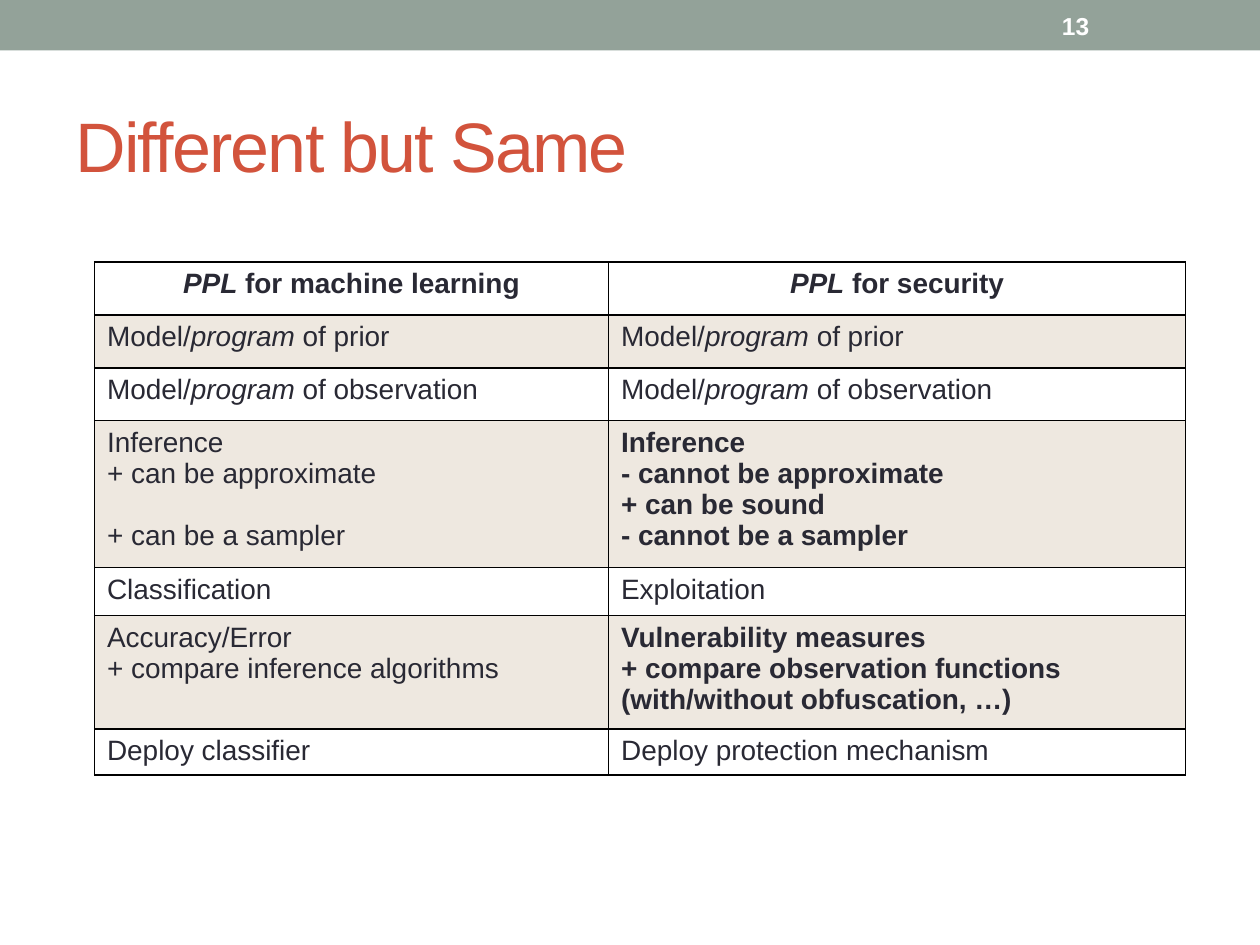
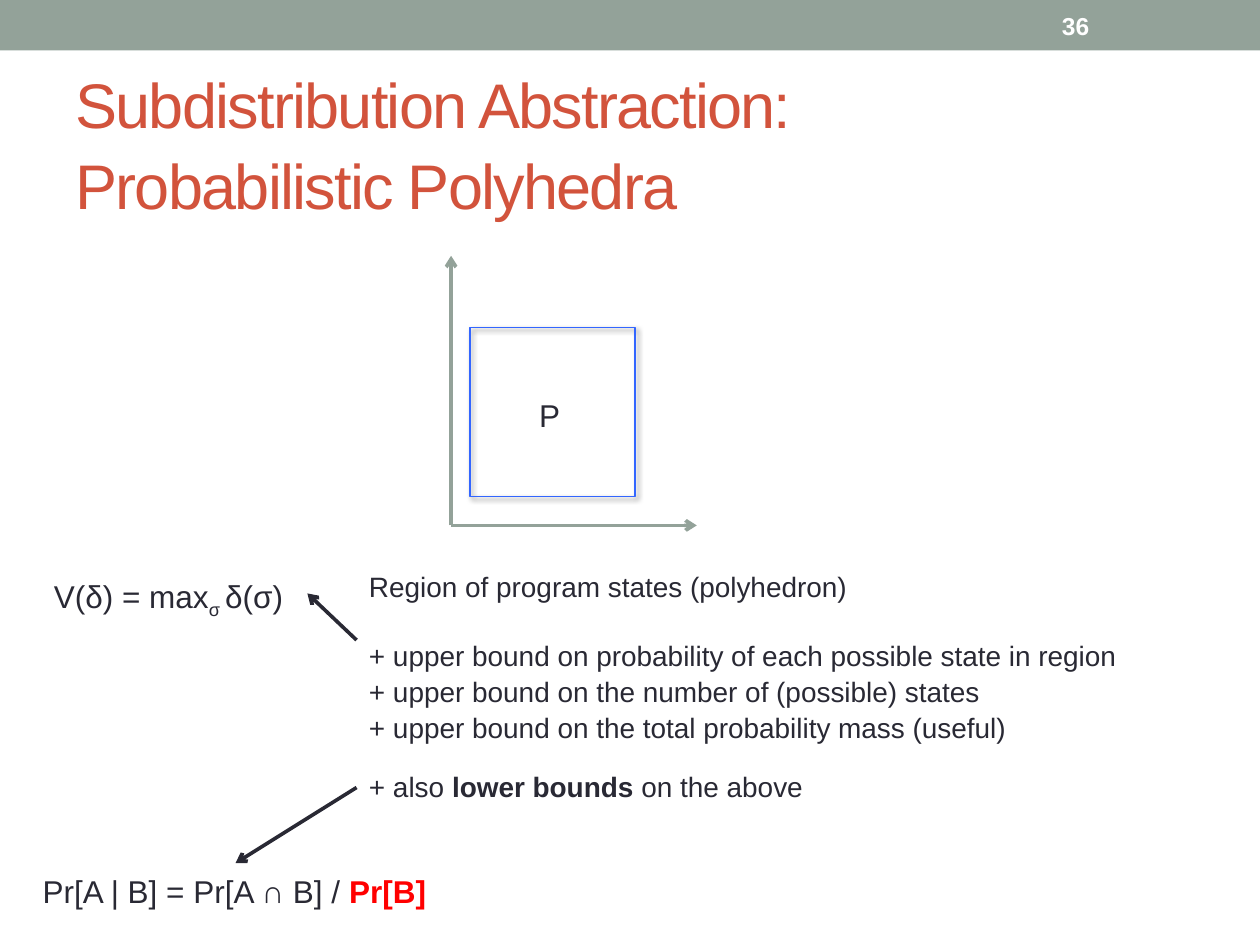
from pptx import Presentation
from pptx.dml.color import RGBColor
from pptx.enum.shapes import MSO_CONNECTOR, MSO_SHAPE
from pptx.enum.text import MSO_ANCHOR, PP_ALIGN
from pptx.oxml import parse_xml
from pptx.oxml.ns import qn
from pptx.util import Inches, Pt
from lxml import etree

RECT = MSO_SHAPE.RECTANGLE
STRAIGHT = MSO_CONNECTOR.STRAIGHT
TOP, MIDDLE = MSO_ANCHOR.TOP, MSO_ANCHOR.MIDDLE
LEFT, CENTER = PP_ALIGN.LEFT, PP_ALIGN.CENTER

FONT = "Arial"
SAGE, RUST, INK, WHITE = "93A299", "D2533C", "292934", "FFFFFF"
SAND, BLUE, RED, BLACK = "AD8F67", "3366FF", "FF0000", "000000"
NS = 'xmlns:a="http://schemas.openxmlformats.org/drawingml/2006/main"'


def rgb(value):
    """Turn a hex string into a colour."""
    return RGBColor.from_string(value)


class Deck:
    """Hold the shared style and the current slide."""

    def __init__(self):
        """Open an empty presentation."""
        self.prs = Presentation()
        self.prs.slide_width, self.prs.slide_height = Inches(10), Inches(7.5)
        self.s = None

    def slide(self, title, number, title_size):
        """Add a slide with its band, title and number."""
        self.s = self.prs.slides.add_slide(self.prs.slide_layouts[6])
        self.rect(0, 0, 10, 0.4, fill=SAGE)
        sp = self.text(0.5, 0.58, 9, 1.08, [title], title_size, RUST, anchor=MIDDLE)
        for r in sp.text_frame.paragraphs[0].runs:
            r.font._element.set("spc", "-100")
        self.text(8.33, 0.02, 1.17, 0.36, [str(number)], 14, WHITE, bold=True, anchor=MIDDLE)

    def rect(self, x, y, w, h, fill=None, line=None):
        """Add a plain rectangle."""
        sp = self.s.shapes.add_shape(RECT, Inches(x), Inches(y), Inches(w), Inches(h))
        sp.shadow.inherit = False
        if fill:
            sp.fill.solid()
            sp.fill.fore_color.rgb = rgb(fill)
        else:
            sp.fill.background()
        if line:
            sp.line.color.rgb = rgb(line)
            sp.line.width = Pt(0.75)
        else:
            sp.line.fill.background()
        return sp

    def shadow(self, sp):
        """Give a shape a soft shadow to the lower right."""
        sp._element.spPr.find(qn("a:effectLst")).append(parse_xml(
            f'<a:outerShdw {NS} blurRad="38100" dist="25400" dir="2700000">'
            f'<a:srgbClr val="{BLACK}"><a:alpha val="60000"/></a:srgbClr></a:outerShdw>'))

    def fill_text(self, tf, paragraphs, size, color=INK, bold=False, align=LEFT,
                  spacing=1.0, gaps=None):
        """Fill a frame; a paragraph is a string or a list of (text, mark) runs."""
        for i, content in enumerate(paragraphs):
            p = tf.add_paragraph() if i else tf.paragraphs[0]
            p.alignment, p.line_spacing = align, spacing
            p.space_before = Pt((gaps or {}).get(i, 0))
            p.font.name, p.font.size, p.font.bold = FONT, Pt(size), bold
            p.font.color.rgb = rgb(color)
            if isinstance(content, str):
                p.text = content
                continue
            for text, mark in content:
                r = p.add_run()
                r.text = text
                if mark == "italic":
                    r.font.italic = True
                elif mark == "sub":
                    r.font._element.set("baseline", "-25000")
                elif mark:
                    r.font.bold = True
                    if mark == "alert":
                        r.font.color.rgb = rgb(RED)

    def text(self, x, y, w, h, paragraphs, size, color=INK, bold=False,
             anchor=TOP, wrap=True, gaps=None):
        """Add a text box."""
        sp = self.s.shapes.add_textbox(Inches(x), Inches(y), Inches(w), Inches(h))
        tf = sp.text_frame
        tf.word_wrap, tf.vertical_anchor = wrap, anchor
        self.fill_text(tf, paragraphs, size, color, bold, spacing=1.07, gaps=gaps)
        return sp

    def arrow(self, start, end, color):
        """Add a line with an arrowhead at its end."""
        sp = self.s.shapes.add_connector(STRAIGHT, *map(Inches, start + end))
        sp.line.color.rgb = rgb(color)
        sp.line.width = Pt(2.08)
        spPr = sp._element.spPr
        etree.SubElement(spPr.find(qn("a:ln")), qn("a:tailEnd"), type="arrow")
        etree.SubElement(spPr, qn("a:effectLst"))

    def table(self, x, y, widths, heights, rows):
        """Add a bordered table with a centred header and every second row tinted."""
        table = self.s.shapes.add_table(
            len(rows), len(widths), Inches(x), Inches(y),
            Inches(sum(widths)), Inches(sum(heights))).table
        table.first_row = table.horz_banding = False
        for column, width in zip(table.columns, widths):
            column.width = Inches(width)
        for i, (height, row) in enumerate(zip(heights, rows)):
            table.rows[i].height = Inches(height)
            for j, (paragraphs, style) in enumerate(row):
                cell = table.cell(i, j)
                self.fill_text(cell.text_frame, paragraphs, 16,
                               align=LEFT if i else CENTER, **style)
                self.cell_look(cell, tinted=i % 2 == 1)

    def cell_look(self, cell, tinted):
        """Set the fill and the four borders of a cell."""
        tcPr = cell._tc.get_or_add_tcPr()
        if tinted:
            cell.fill.solid()
            cell.fill.fore_color.rgb = rgb(SAND)
            etree.SubElement(tcPr.find(qn("a:solidFill"))[0], qn("a:alpha"), val="20000")
        else:
            cell.fill.background()
        for i, side in enumerate(("lnL", "lnR", "lnT", "lnB")):
            tcPr.insert(i, parse_xml(
                f'<a:{side} {NS} w="12700"><a:solidFill><a:srgbClr val="{BLACK}"/>'
                f'</a:solidFill></a:{side}>'))


def comparison_slide(deck):
    """Compare the two uses of PPL in a table."""
    deck.slide("Different but Same", 13, 40)
    plain, strong = {}, {"bold": True}
    header = [([[("PPL", "italic"), (f" for {use}", "")]], strong)
              for use in ("machine learning", "security")]
    models = [[([[("Model/", ""), ("program", "italic"), (f" of {part}", "")]], plain)] * 2
              for part in ("prior", "observation")]
    rows = [
        header,
        *models,
        [(["Inference", "+ can be approximate", "+ can be a sampler"], {"gaps": {2: 17.9}}),
         (["Inference", "- cannot be approximate", "+ can be sound",
           "- cannot be a sampler"], strong)],
        [(["Classification"], plain), (["Exploitation"], plain)],
        [(["Accuracy/Error", "+ compare inference algorithms"], plain),
         (["Vulnerability measures",
           "+ compare observation functions (with/without obfuscation, …)"], strong)],
        [(["Deploy classifier"], plain), (["Deploy protection mechanism"], plain)],
    ]
    deck.table(0.75, 2.08, [4.08, 4.58], [0.42, 0.42, 0.42, 1.09, 0.38, 0.84, 0.36], rows)


def polyhedra_slide(deck):
    """Show a region on axes with its bounds and the formulas they serve."""
    deck.slide("Subdistribution Abstraction:\nProbabilistic Polyhedra", 36, 36)
    origin = (3.58, 4.17)
    for axis_end in ((3.58, 2.03), (5.53, 4.17)):
        deck.arrow(origin, axis_end, SAGE)
    deck.shadow(deck.rect(3.73, 2.6, 1.31, 1.34, line=BLUE))
    deck.text(4.18, 3.07, 0.37, 0.4, ["P"], 18, wrap=False)
    bounds = [
        "Region of program states (polyhedron)",
        "+ upper bound on probability of each possible state in region",
        "+ upper bound on the number of (possible) states",
        "+ upper bound on the total probability mass (useful)",
        [("+ also ", ""), ("lower bounds", "bold"), (" on the above", "")],
    ]
    deck.text(2.83, 4.45, 6.21, 2.17, bounds, 16, gaps={1: 19.1, 4: 13.4})
    deck.text(0.24, 6.85, 3.26, 0.4,
              [[("Pr[A | B] = Pr[A ∩ B] / ", ""), ("Pr[B]", "alert")]], 18, wrap=False)
    deck.text(0.33, 4.51, 2.1, 0.4,
              [[("V(δ) = max", ""), ("σ ", "sub"), ("δ(σ)", "")]], 18)
    deck.arrow((2.83, 5.08), (2.44, 4.71), INK)
    deck.arrow((2.83, 6.25), (1.87, 6.85), INK)


def main():
    """Build and save the slides."""
    deck = Deck()
    comparison_slide(deck)
    polyhedra_slide(deck)
    deck.prs.save("out.pptx")


if __name__ == "__main__":
    main()
